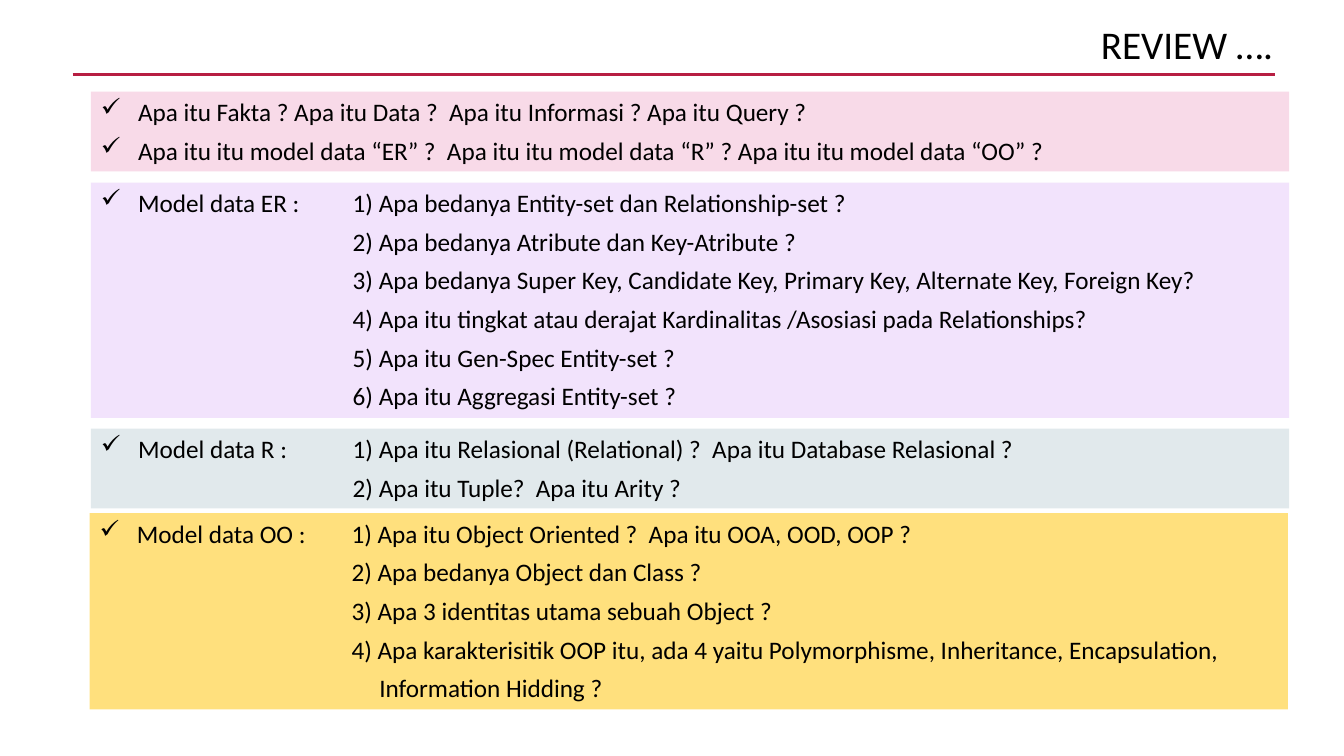
from lxml import etree
from pptx import Presentation
from pptx.dml.color import RGBColor
from pptx.enum.shapes import MSO_CONNECTOR, MSO_SHAPE
from pptx.enum.text import MSO_ANCHOR, PP_ALIGN
from pptx.oxml.ns import qn
from pptx.util import Cm, Pt

STRAIGHT, RECTANGLE = MSO_CONNECTOR.STRAIGHT, MSO_SHAPE.RECTANGLE
TOP, MIDDLE = MSO_ANCHOR.TOP, MSO_ANCHOR.MIDDLE
LEFT, RIGHT = PP_ALIGN.LEFT, PP_ALIGN.RIGHT

BLACK = RGBColor(0x00, 0x00, 0x00)
CRIMSON = RGBColor(0xB7, 0x1E, 0x42)
PINK = RGBColor(0xF8, 0xDA, 0xE8)
LILAC = RGBColor(0xF2, 0xE3, 0xFC)
GREY = RGBColor(0xE1, 0xE9, 0xEC)
YELLOW = RGBColor(0xFF, 0xE0, 0x7D)
FONT = "Calibri"

# Content: each line is (kind, text)
TITLE = "REVIEW …."
CHECK, ITEM, WRAPPED = "check", "item", "wrapped"
BLOCKS = [  # left, top (cm), fill, lines
    (2.29, 2.31, PINK, [
        (CHECK, "Apa itu Fakta ? Apa itu Data ?  Apa itu Informasi ? Apa itu Query ?"),
        (CHECK, "Apa itu itu model data “ER” ?  Apa itu itu model data “R” ? "
                "Apa itu itu model data “OO” ?"),
    ]),
    (2.29, 4.6, LILAC, [
        (CHECK, "Model data ER :\t\t1) Apa bedanya Entity-set dan Relationship-set ?"),
        (ITEM, "2) Apa bedanya Atribute dan Key-Atribute ?"),
        (ITEM, "3) Apa bedanya Super Key, Candidate Key, Primary Key, "
               "Alternate Key, Foreign Key?"),
        (ITEM, "4) Apa itu tingkat atau derajat Kardinalitas /Asosiasi pada Relationships?"),
        (ITEM, "5) Apa itu Gen-Spec Entity-set ?"),
        (ITEM, "6) Apa itu Aggregasi Entity-set ?"),
    ]),
    (2.29, 10.8, GREY, [
        (CHECK, "Model data R :\t\t1) Apa itu Relasional (Relational) ?  "
                "Apa itu Database Relasional ?"),
        (ITEM, "2) Apa itu Tuple?  Apa itu Arity ?"),
    ]),
    (2.26, 12.93, YELLOW, [
        (CHECK, "Model data OO :\t1) Apa itu Object Oriented ?  Apa itu OOA, OOD, OOP ?"),
        (ITEM, "2) Apa bedanya Object dan Class ?"),
        (ITEM, "3) Apa 3 identitas utama sebuah Object ?"),
        (ITEM, "4) Apa karakterisitik OOP itu, ada 4 yaitu Polymorphisme, "
               "Inheritance, Encapsulation,"),
        (WRAPPED, "Information Hidding ?"),
    ]),
]

# Layout in cm
BLOCK_WIDTH = 30.2
ROW_HEIGHT, BLOCK_EXTRA = 0.98, 0.05
TAB = 1.27
BULLET_INDENT = 0.94
INDENTS = {CHECK: BULLET_INDENT, ITEM: 5 * TAB, WRAPPED: 5 * TAB + 0.7}


def style(para, size, align):
    para.alignment = align
    para.font.name = FONT
    para.font.size = Pt(size)
    para.font.color.rgb = BLACK


def indent(para, kind):
    properties = para._p.get_or_add_pPr()
    properties.set("marL", str(Cm(INDENTS[kind])))
    properties.set("indent", str(Cm(-BULLET_INDENT) if kind == CHECK else 0))
    properties.set("defTabSz", str(Cm(TAB)))
    if kind == CHECK:
        bullet = etree.Element(qn("a:buChar"), char="✓")
        properties.insert_element_before(bullet, "a:tabLst", "a:defRPr", "a:extLst")


def add_block(page, left, top, fill, lines):
    height = len(lines) * ROW_HEIGHT + BLOCK_EXTRA
    box = page.shapes.add_shape(RECTANGLE, Cm(left), Cm(top), Cm(BLOCK_WIDTH), Cm(height))
    box.shadow.inherit = False
    box.fill.solid()
    box.fill.fore_color.rgb = fill
    box.line.fill.background()
    frame = box.text_frame
    frame.word_wrap = True
    frame.vertical_anchor = TOP
    for number, (kind, text) in enumerate(lines):
        para = frame.add_paragraph() if number else frame.paragraphs[0]
        para.text = text
        para.space_before = para.space_after = Pt(3)
        style(para, 18, LEFT)
        indent(para, kind)


def main():
    deck = Presentation()
    deck.slide_width, deck.slide_height = Cm(33.87), Cm(19.05)
    page = deck.slides.add_slide(deck.slide_layouts[6])

    # Title and rule
    rule = page.shapes.add_connector(STRAIGHT, Cm(1.83), Cm(1.88), Cm(32.13), Cm(1.88))
    rule.line.color.rgb = CRIMSON
    rule.line.width = Pt(2.5)
    etree.SubElement(rule._element.spPr, qn("a:effectLst"))
    title = page.shapes.add_textbox(Cm(4.19), Cm(0.51), Cm(28.14), Cm(1.35))
    title.text_frame.word_wrap = True
    title.text_frame.vertical_anchor = MIDDLE
    heading = title.text_frame.paragraphs[0]
    heading.text = TITLE
    heading.line_spacing = 0.9
    style(heading, 28, RIGHT)

    # Question blocks
    for block in BLOCKS:
        add_block(page, *block)

    deck.save("out.pptx")


if __name__ == "__main__":
    main()
